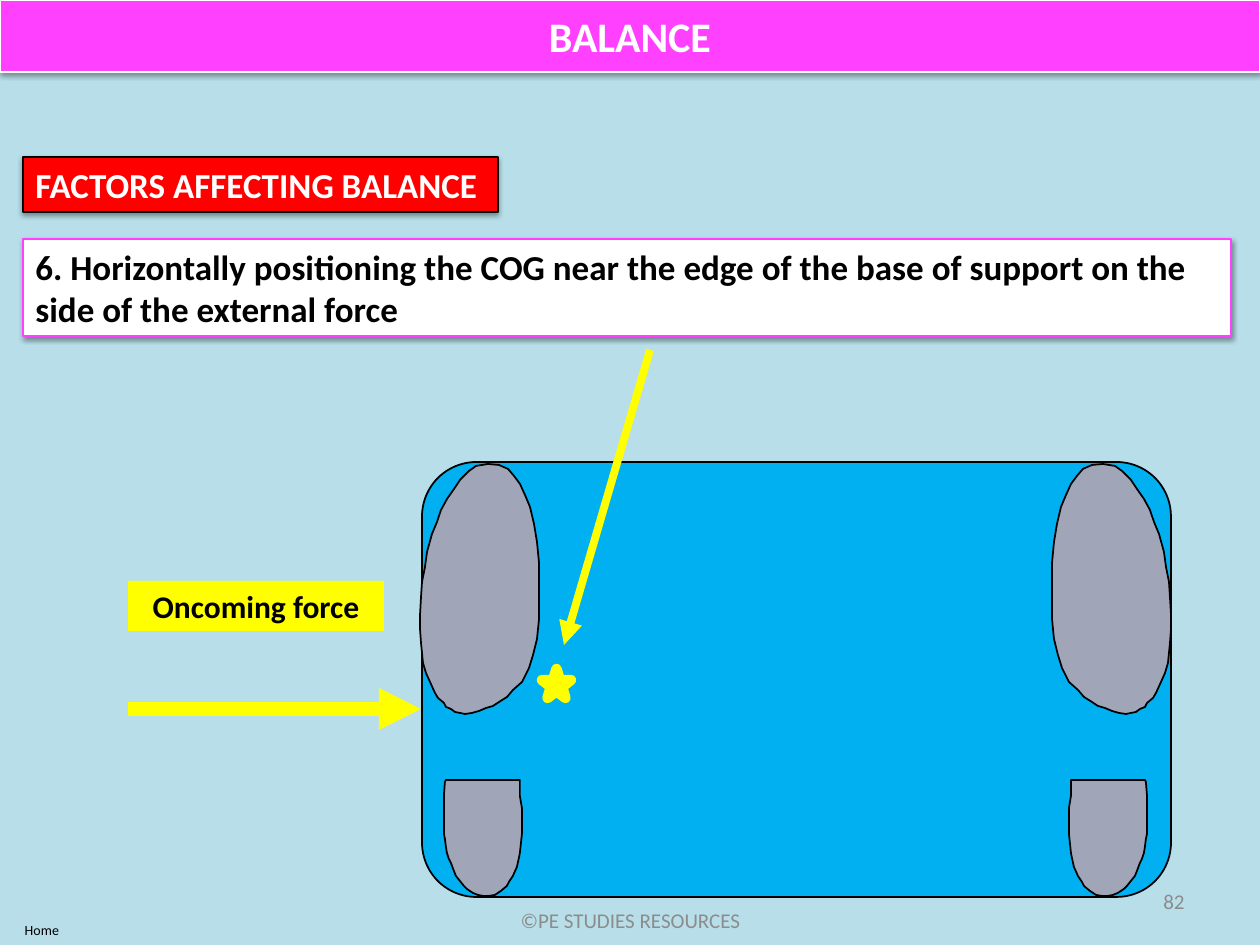
from lxml import etree
from pptx import Presentation, util as u
from pptx.dml.color import RGBColor
from pptx.enum import shapes, text
from pptx.oxml.ns import qn

SCALE = 914400 / 126
COLORS = {
    "sky": "B7DEE9", "pink": "FF40FF", "red": "FF0000", "white": "FFFFFF",
    "black": "000000", "yellow": "FFFF00", "blue": "00B0F0",
    "foot": "A0A5B8", "gray": "8C8C8C",
}
ALIGN = {"l": text.PP_ALIGN.LEFT, "c": text.PP_ALIGN.CENTER, "r": text.PP_ALIGN.RIGHT}
KIND = shapes.MSO_SHAPE

MIRROR_SUM = 1591  # left x + right x of matching points on the two feet
SOLE = [
    (488, 464), (476, 466), (469, 471), (460, 480), (454, 489), (447, 499),
    (441, 510), (437, 522), (432, 534), (427, 552), (425, 567), (422, 582),
    (421, 597), (420, 615), (420, 629), (421, 643), (422, 653), (423, 663),
    (426, 673), (430, 682), (435, 693), (438, 698), (444, 703), (446, 707),
    (451, 709), (455, 712), (460, 713), (465, 714), (472, 713), (479, 711),
    (486, 708), (493, 706), (499, 702), (507, 697), (513, 690), (522, 682),
    (529, 668), (533, 655), (537, 639), (539, 619), (539, 563), (537, 542),
    (534, 524), (530, 507), (525, 495), (520, 484), (514, 476), (508, 469),
    (499, 465),
]
HEEL = [
    (446, 780), (520, 780), (520, 796), (522, 808), (522, 834), (520, 853),
    (519, 858), (517, 867), (513, 876), (509, 882), (507, 886), (501, 891),
    (495, 895), (489, 896), (483, 896), (478, 895), (473, 893), (467, 889),
    (464, 886), (460, 881), (456, 876), (454, 871), (451, 863), (449, 859),
    (447, 853), (446, 847), (445, 839), (444, 834), (444, 795), (445, 782),
]


def px(n):
    return u.Emu(round(n * SCALE))


def rgb(name):
    return RGBColor.from_string(COLORS[name])


class Deck:
    font = "Calibri"

    def __init__(self, width, height):
        self.prs = Presentation()
        self.prs.slide_width, self.prs.slide_height = px(width), px(height)

    def new_slide(self, color):
        self.s = self.prs.slides.add_slide(self.prs.slide_layouts[6])
        fill = self.s.background.fill
        fill.solid()
        fill.fore_color.rgb = rgb(color)

    def put_text(self, sp, words, size=20, color="black", bold=False, align="l", middle=False):
        tf = sp.text_frame
        tf.word_wrap = True
        tf.vertical_anchor = text.MSO_ANCHOR.MIDDLE if middle else text.MSO_ANCHOR.TOP
        p = tf.paragraphs[0]
        p.alignment = ALIGN[align]
        r = p.add_run()
        r.text = words
        r.font.name, r.font.size, r.font.bold = self.font, u.Pt(size), bold
        r.font.color.rgb = rgb(color)

    def paint(self, sp, fill, line=None, weight=1):
        sp.shadow.inherit = False
        sp.fill.solid()
        sp.fill.fore_color.rgb = rgb(fill)
        if line:
            sp.line.color.rgb = rgb(line)
            sp.line.width = u.Pt(weight)
            etree.SubElement(sp._element.spPr.find(qn("a:ln")), qn("a:round"))
        else:
            sp.line.fill.background()
        return sp

    def shape(self, kind, box, fill, line=None, weight=1):
        sp = self.s.shapes.add_shape(kind, *map(px, box))
        return self.paint(sp, fill, line, weight)

    def panel(self, box, words, fill, line=None, weight=1, shadow=True, **fmt):
        sp = self.shape(KIND.RECTANGLE, box, fill, line, weight)
        if shadow:
            self.drop_shadow(sp)
        self.put_text(sp, words, bold=True, **fmt)

    def drop_shadow(self, sp):
        effects = sp._element.spPr.find(qn("a:effectLst"))
        outer = etree.SubElement(effects, qn("a:outerShdw"), blurRad=str(u.Pt(3.1)),
                                 dist=str(u.Pt(1.6)), dir="5400000", rotWithShape="0")
        color = etree.SubElement(outer, qn("a:srgbClr"), val=COLORS["black"])
        etree.SubElement(color, qn("a:alpha"), val="38000")

    def label(self, box, words, **fmt):
        self.put_text(self.s.shapes.add_textbox(*map(px, box)), words, **fmt)

    def outline(self, points, fill, line):
        builder = self.s.shapes.build_freeform(*points[0], scale=SCALE)
        builder.add_line_segments(points[1:], close=True)
        self.paint(builder.convert_to_shape(), fill, line)

    def arrow(self, start, end, color, weight):
        c = self.s.shapes.add_connector(shapes.MSO_CONNECTOR.STRAIGHT, *map(px, start + end))
        c.line.color.rgb = rgb(color)
        c.line.width = u.Pt(weight)
        spPr = c._element.spPr
        etree.SubElement(spPr.find(qn("a:ln")), qn("a:tailEnd"), type="triangle")
        etree.SubElement(spPr, qn("a:effectLst"))


def main():
    d = Deck(1260, 945)
    d.new_slide("sky")

    base = d.shape(KIND.ROUNDED_RECTANGLE, (422, 462, 749, 435), "blue", "black")
    base.adjustments[0] = 0.125
    for part in (SOLE, HEEL):
        d.outline(part, "foot", "black")
        d.outline([(MIRROR_SUM - x, y) for x, y in part], "foot", "black")
    d.arrow((128, 709), (421, 709), "yellow", 8)

    d.panel((23, 239, 1208, 97),
            "6. Horizontally positioning the COG near the edge of the base of support "
            "on the side of the external force", "white", "pink")
    d.panel((128, 581, 256, 50), "Oncoming force", "yellow", shadow=False, size=18, align="c")
    d.shape(KIND.STAR_5_POINT, (542, 669, 29, 29), "yellow", "yellow", 6)

    d.label((903, 876, 294, 50), "82", size=12, color="gray", align="r", middle=True)
    d.label((431, 895, 399, 50), "©PE STUDIES RESOURCES",
            size=12, color="gray", align="c", middle=True)
    d.label((-16, 915, 116, 30), "Home", size=8, align="c")
    d.arrow((650, 350), (564, 645), "yellow", 4.5)

    d.panel((0, 0, 1260, 72), "BALANCE", "pink", "white", 0.75,
            size=24, color="white", align="c", middle=True)
    d.panel((23, 157, 475, 55), "FACTORS AFFECTING BALANCE", "red", "black", 0.75,
            color="white", middle=True)

    d.prs.save("out.pptx")


if __name__ == "__main__":
    main()
